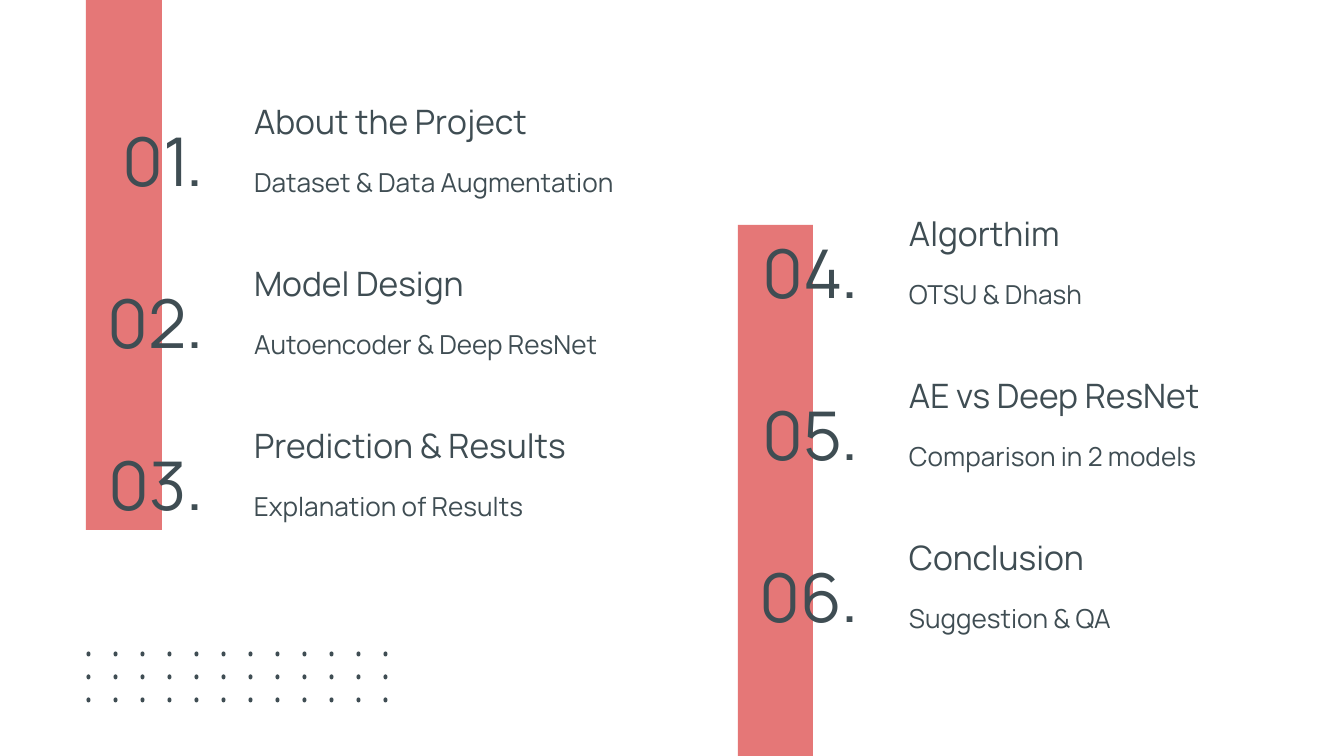
from dataclasses import dataclass

from pptx import Presentation
from pptx.dml.color import RGBColor
from pptx.enum.shapes import MSO_SHAPE
from pptx.enum.text import MSO_ANCHOR, PP_ALIGN
from pptx.util import Pt

RECT, OVAL = MSO_SHAPE.RECTANGLE, MSO_SHAPE.OVAL
MIDDLE, BOTTOM = MSO_ANCHOR.MIDDLE, MSO_ANCHOR.BOTTOM
LEFT, RIGHT = PP_ALIGN.LEFT, PP_ALIGN.RIGHT

EMU_PER_PX = 914400 / 134.4
SLIDE_W, SLIDE_H = 1344, 756
ITEM_STEP = 162
INSET = 13


@dataclass(frozen=True)
class Theme:
    font: str = "Manrope"
    ink: str = "3F4D53"
    accent: str = "E57777"
    paper: str = "FFFFFF"
    number_size: int = 36
    heading_size: int = 18
    detail_size: int = 14


def px(n):
    return round(n * EMU_PER_PX)


def write_text(tf, text, *, font, size, color, align=LEFT, anchor=MIDDLE):
    tf.word_wrap = True
    tf.vertical_anchor = anchor
    tf.margin_left = tf.margin_right = px(INSET)
    tf.margin_top = tf.margin_bottom = px(INSET)
    p = tf.paragraphs[0]
    p.alignment = align
    r = p.add_run()
    r.text = text
    r.font.name = font
    r.font.size = Pt(size)
    r.font.color.rgb = RGBColor.from_string(color)


class Deck:
    def __init__(self, theme):
        self.theme = theme
        self.prs = Presentation()
        self.prs.slide_width, self.prs.slide_height = px(SLIDE_W), px(SLIDE_H)
        self.slide = self.prs.slides.add_slide(self.prs.slide_layouts[6])
        fill = self.slide.background.fill
        fill.solid()
        fill.fore_color.rgb = RGBColor.from_string(theme.paper)

    def shape(self, kind, x, y, w, h, color, parent=None):
        shapes = (parent or self.slide).shapes
        sp = shapes.add_shape(kind, px(x), px(y), px(w), px(h))
        sp.shadow.inherit = False
        sp.fill.solid()
        sp.fill.fore_color.rgb = RGBColor.from_string(color)
        sp.line.fill.background()
        return sp

    def text(self, x, y, w, h, text, size, **fmt):
        sp = self.slide.shapes.add_textbox(px(x), px(y), px(w), px(h))
        write_text(sp.text_frame, text, font=self.theme.font, size=size,
                   color=self.theme.ink, **fmt)

    def item(self, x, y, number, heading, detail, detail_w):
        t = self.theme
        self.text(x, y, 194, 79, f"{number:02}.", t.number_size, align=RIGHT)
        self.text(x + 218, y - 26, 413, 60, heading, t.heading_size, anchor=BOTTOM)
        self.text(x + 218, y + 23, detail_w, 79, detail, t.detail_size)

    def column(self, bar, x, y, first, items):
        self.shape(RECT, *bar, self.theme.accent)
        for i, item in enumerate(items):
            self.item(x, y + i * ITEM_STEP, first + i, *item)

    def dot_grid(self, x, y, cols, rows, dx, dy):
        group = self.slide.shapes.add_group_shape()
        for row in range(rows):
            for col in range(cols):
                sp = self.shape(OVAL, x + col * dx, y + row * dy, 5, 4,
                                self.theme.ink, group)
                sp.rotation = 90


def main():
    deck = Deck(Theme())
    deck.column((86, 0, 76, 530), 23, 120, 1, [
        ("About the Project", "Dataset & Data Augmentation", 437),
        ("Model Design", "Autoencoder & Deep ResNet", 431),
        ("Prediction & Results", "Explanation of Results", 363),
    ])
    deck.column((738, 225, 75, 546), 678, 232, 4, [
        ("Algorthim", "OTSU & Dhash", 363),
        ("AE vs Deep ResNet", "Comparison in 2 models", 363),
        ("Conclusion", "Suggestion & QA", 363),
    ])
    deck.dot_grid(86, 652, cols=12, rows=3, dx=27, dy=23)
    deck.prs.save("out.pptx")


if __name__ == "__main__":
    main()
